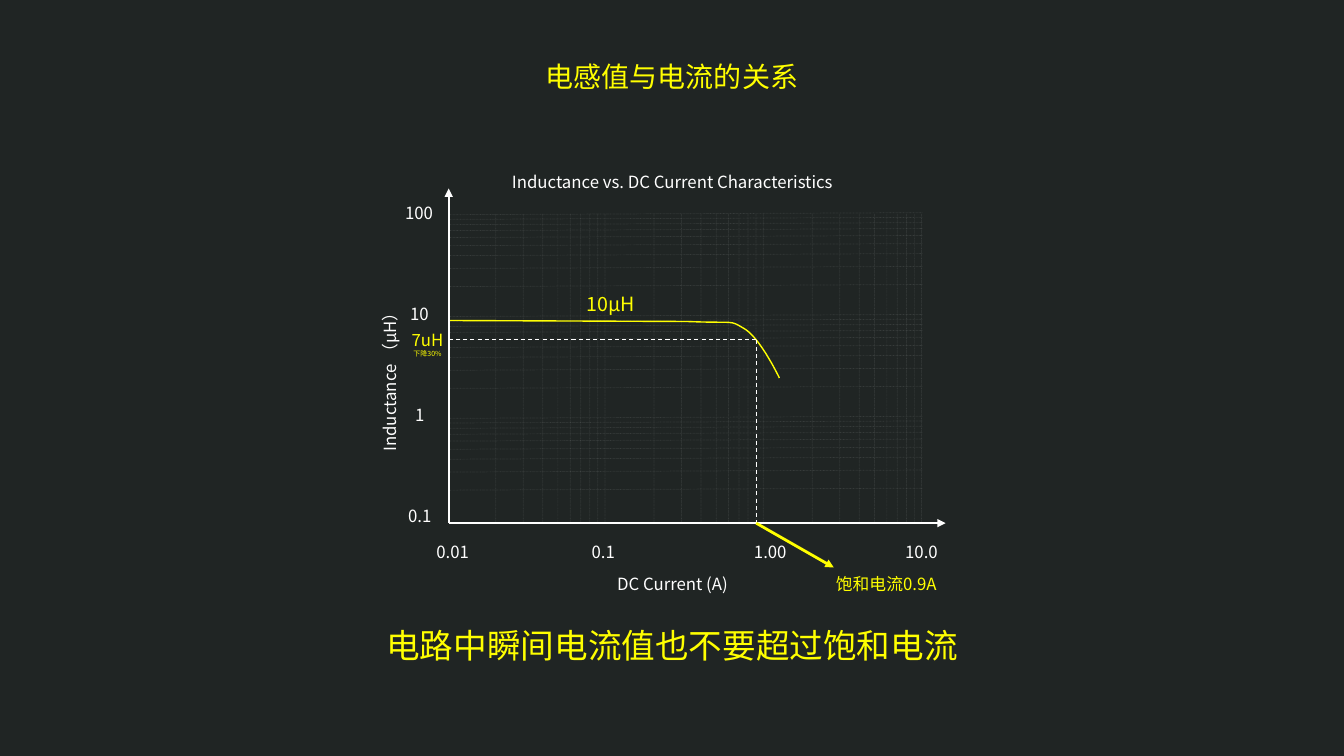
"""Build the slide on how inductance falls with direct current."""
from dataclasses import dataclass
from math import log10

from lxml import etree
from pptx import Presentation
from pptx import util as u
from pptx.dml.color import RGBColor
from pptx.enum import dml, shapes, text
from pptx.oxml import ns


@dataclass(frozen=True)
class Theme:
    font: str = "Noto Sans CJK SC"
    background: str = "202524"
    plain: str = "FFFFFF"
    accent: str = "FFFF00"
    tiny: int = 5
    body: int = 12
    label: int = 14
    heading: int = 20
    message: int = 24


THEME = Theme()


@dataclass(frozen=True)
class Label:
    lines: tuple[str, ...]
    left: float
    top: float
    width: float
    height: float = 0.3
    sizes: tuple[int, ...] = (THEME.body,)
    color: str = THEME.plain
    wrap: bool = True
    rotation: int = 0


@dataclass(frozen=True)
class Stroke:
    color: str
    width: float
    dash: dml.MSO_LINE | None = None
    opacity: int = 100
    arrow: bool = False


AXIS = Stroke(THEME.plain, 1.5, arrow=True)
GRID = Stroke(THEME.plain, 0.5, dml.MSO_LINE.ROUND_DOT, opacity=10)
GUIDE = Stroke(THEME.plain, 0.75, dml.MSO_LINE.DASH)
POINTER = Stroke(THEME.accent, 0, arrow=True)
CURVE = Stroke(THEME.accent, 1)

Point = tuple[float, float]
ORIGIN: Point = (4.45, 5.19)
GRID_RIGHT, GRID_TOP = 9.15, 2.12
SATURATION: Point = (7.5, 3.37)
CURVE_START: Point = (4.45, 3.18)
KNEE: Point = (6.81, 3.19)
BENDS = (
    (KNEE, (7.3, 3.21), (7.23, 3.17), (7.38, 3.26)),
    ((7.38, 3.26), (7.54, 3.35), (7.73, 3.75), (7.73, 3.75)),
)

TITLES = (
    Label(("电感值与电流的关系",), 4.75, 0.54, 3.83, 0.44, (THEME.heading,), THEME.accent),
    Label(("Inductance vs. DC Current Characteristics",), 4.88, 1.65, 3.58),
    Label(("Inductance （μH）",), 2.81, 3.6, 2.11, rotation=270),
    Label(("DC Current (A)",), 4.88, 5.64, 3.58),
    Label(("10μH",), 5.46, 2.85, 1.2, 0.34, (THEME.label,), THEME.accent),
    Label(("7uH", "下降30%"), 3.64, 3.22, 1.2, 0.39, (THEME.body, THEME.tiny), THEME.accent),
    Label(("饱和电流0.9A",), 8.03, 5.64, 1.52, color=THEME.accent),
    Label(("电路中瞬间电流值也不要超过饱和电流",), 3.52, 6.15, 6.29, 0.5, (THEME.message,), THEME.accent),
)
CURRENT_TICKS = (("0.01", 4.23, 0.54), ("0.1", 5.77, 0.44), ("1.00", 7.38, 0.54), ("10.0", 8.88, 0.54))
INDUCTANCE_TICKS = (("0.1", 0.44), ("1", 0.3), ("10", 0.4), ("100", 0.5))


def add_label(slide, label: Label) -> None:
    """Write one text box."""
    box = slide.shapes.add_textbox(*map(u.Inches, (label.left, label.top, label.width, label.height)))
    box.rotation = label.rotation
    frame = box.text_frame
    frame_format = {"word_wrap": label.wrap, "auto_size": text.MSO_AUTO_SIZE.SHAPE_TO_FIT_TEXT}
    for key, value in frame_format.items():
        setattr(frame, key, value)
    for index, (line, size) in enumerate(zip(label.lines, label.sizes)):
        paragraph = frame.add_paragraph() if index else frame.paragraphs[0]
        paragraph.alignment = text.PP_ALIGN.CENTER if label.wrap else text.PP_ALIGN.LEFT
        run = paragraph.add_run()
        run.text = line
        for key, value in {"size": u.Pt(size), "name": THEME.font}.items():
            setattr(run.font, key, value)
        run.font.color.rgb = RGBColor.from_string(label.color)
        etree.SubElement(run._r.get_or_add_rPr(), ns.qn("a:ea"), typeface=THEME.font)


def apply_stroke(line, stroke: Stroke) -> None:
    """Format a line or outline."""
    line.color.rgb = RGBColor.from_string(stroke.color)
    for key, value in {"width": u.Pt(stroke.width), "dash_style": stroke.dash}.items():
        setattr(line, key, value)
    element = line._get_or_add_ln()
    if stroke.opacity < 100:
        color = element.find(".//" + ns.qn("a:srgbClr"))
        etree.SubElement(color, ns.qn("a:alpha"), val=str(stroke.opacity * 1000))
    if stroke.arrow:
        etree.SubElement(element, ns.qn("a:tailEnd"), type="triangle")


def add_line(slide, start: Point, end: Point, stroke: Stroke) -> None:
    """Draw one straight line."""
    connector = slide.shapes.add_connector(
        shapes.MSO_CONNECTOR.STRAIGHT, *map(u.Inches, (*start, *end))
    )
    apply_stroke(connector.line, stroke)
    etree.SubElement(connector._element.spPr, ns.qn("a:effectLst"))


def bezier(points: tuple[Point, ...], t: float) -> Point:
    """Return the point at t on a cubic curve."""
    weights = ((1 - t) ** 3, 3 * t * (1 - t) ** 2, 3 * t**2 * (1 - t), t**3)
    x, y = (sum(w * p[axis] for w, p in zip(weights, points)) for axis in (0, 1))
    return x, y


def add_curve(slide, steps: int = 20) -> None:
    """Draw the inductance curve."""
    bend_points = [bezier(bend, step / steps) for bend in BENDS for step in range(1, steps + 1)]
    builder = slide.shapes.build_freeform(*map(u.Inches, CURVE_START))
    builder.add_line_segments(
        [(u.Inches(x), u.Inches(y)) for x, y in (KNEE, *bend_points)], close=False
    )
    curve = builder.convert_to_shape()
    curve.fill.background()
    curve.shadow.inherit = False
    apply_stroke(curve.line, CURVE)


def add_grid(slide) -> None:
    """Draw three logarithmic decades in each direction."""
    left, bottom = ORIGIN
    for decade in range(3):
        for multiple in range(2, 11):
            x = left + 1.57 * decade + 1.55 * log10(multiple)
            y = 5.17 - 1.01 * decade - 1.02 * log10(multiple)
            add_line(slide, (x, bottom), (x, GRID_TOP), GRID)
            add_line(slide, (left, y), (GRID_RIGHT, y - 0.02), GRID)


def main() -> None:
    """Assemble and save the slide."""
    deck = Presentation()
    for key, value in {"slide_width": 13.33, "slide_height": 7.5}.items():
        setattr(deck, key, u.Inches(value))
    slide = deck.slides.add_slide(deck.slide_layouts[6])
    slide.background.fill.solid()
    slide.background.fill.fore_color.rgb = RGBColor.from_string(THEME.background)

    add_curve(slide)
    for end in ((9.38, ORIGIN[1]), (ORIGIN[0], 1.87)):
        add_line(slide, ORIGIN, end, AXIS)
    for value, left, width in CURRENT_TICKS:
        add_label(slide, Label((value,), left, 5.33, width, wrap=False))
    for decade, (value, width) in enumerate(INDUCTANCE_TICKS):
        left, top = 4.17 - width / 2, 4.97 - 1.003 * decade
        add_label(slide, Label((value,), left, top, width, wrap=False))
    add_grid(slide)
    foot = (SATURATION[0], ORIGIN[1])
    add_line(slide, (ORIGIN[0], SATURATION[1]), SATURATION, GUIDE)
    add_line(slide, SATURATION, foot, GUIDE)
    add_line(slide, foot, (8.27, 5.63), POINTER)
    for label in TITLES:
        add_label(slide, label)
    deck.save("out.pptx")


if __name__ == "__main__":
    main()
